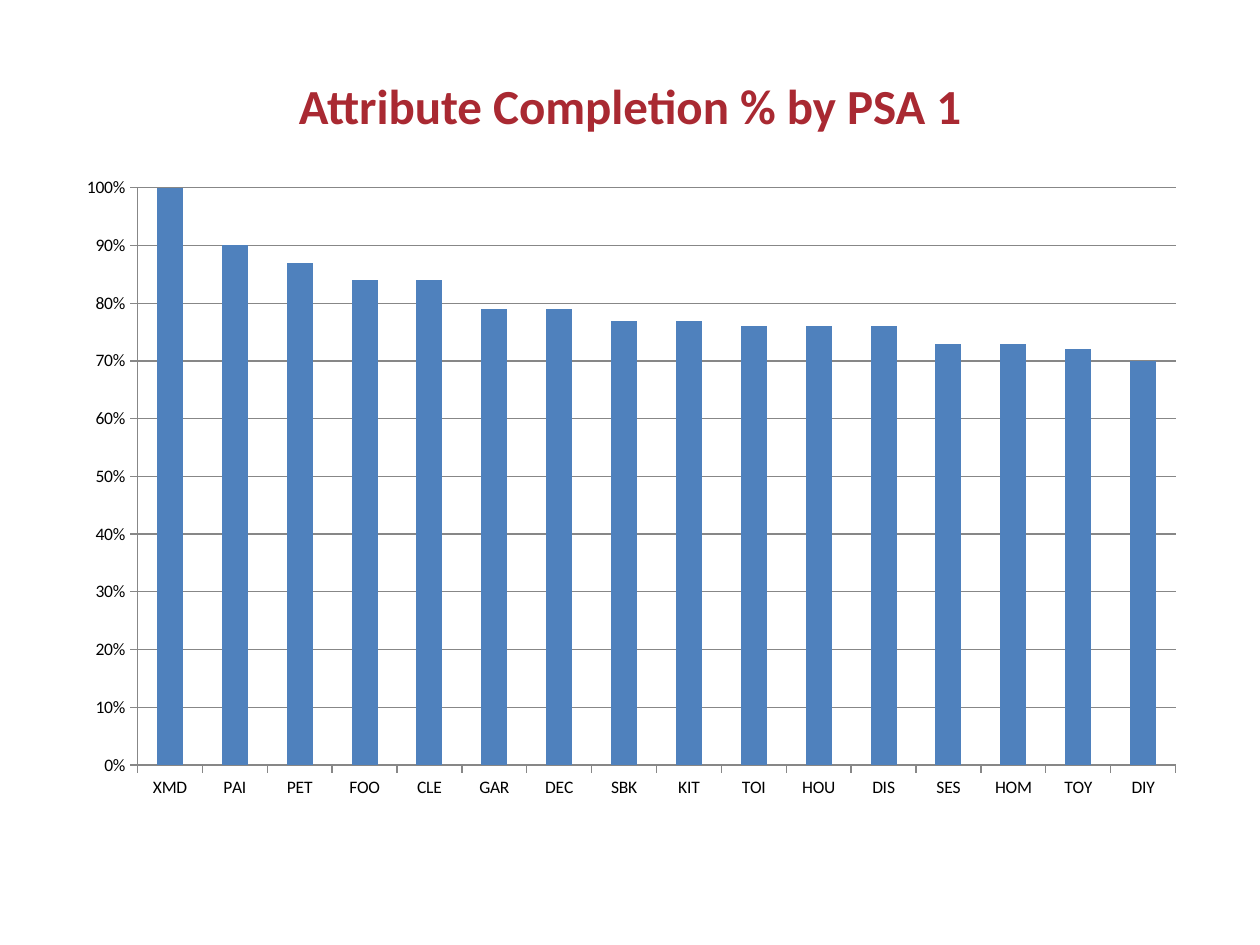
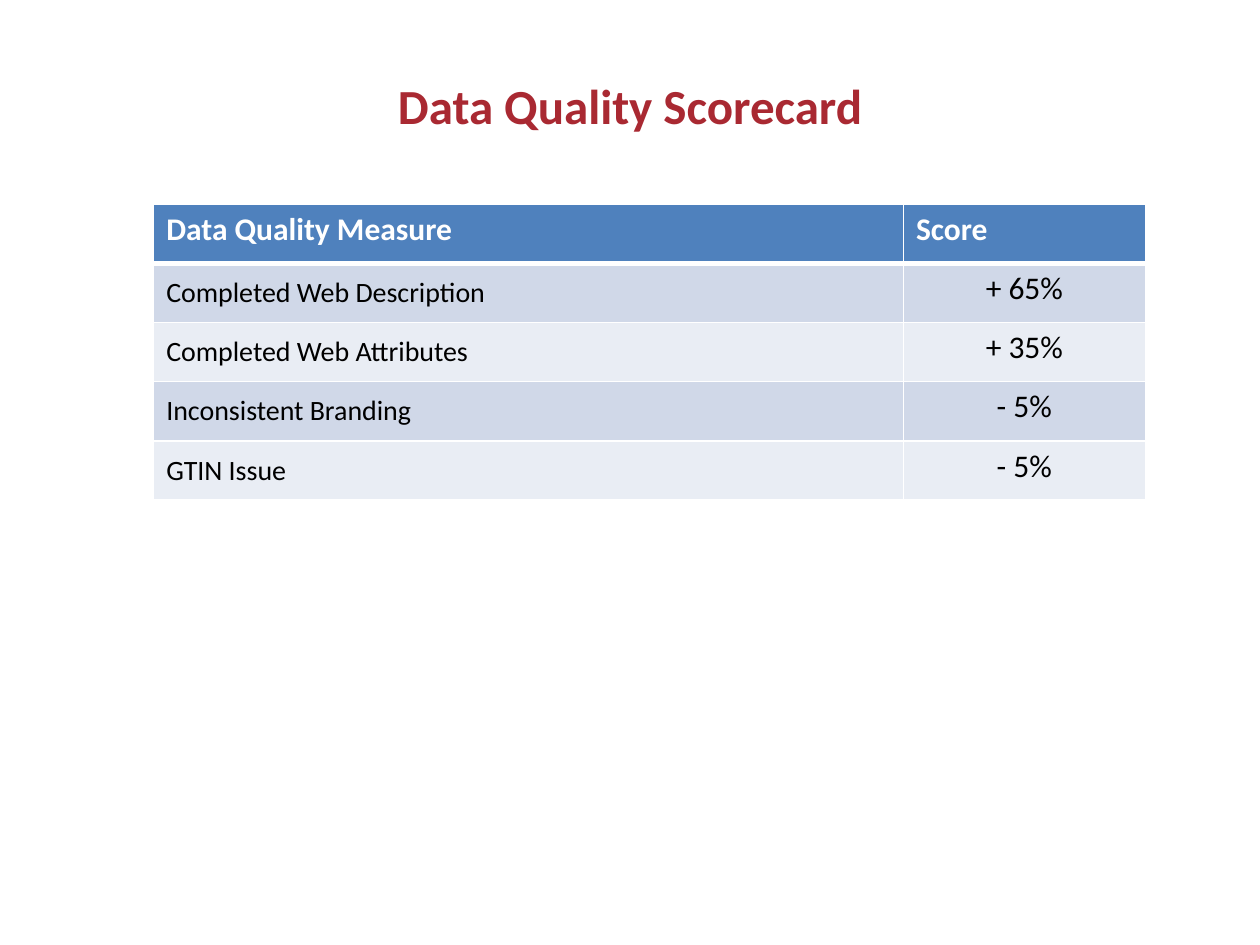
from lxml.etree import SubElement
from pptx import Presentation
from pptx.chart.data import CategoryChartData
from pptx.dml.color import RGBColor
from pptx.enum.chart import XL_CHART_TYPE, XL_TICK_MARK
from pptx.enum.text import MSO_ANCHOR, PP_ALIGN
from pptx.oxml.ns import qn
from pptx.util import Emu, Pt

# Shared look
PX = 9144  # 100 px to the inch
FONT = "Calibri"
RED, BLUE, BLACK, WHITE, GREY = "A92932", "4F81BD", "000000", "FFFFFF", "878787"
BANDS = ["D0D8E8", "E9EDF4"]


def color(hex_string):
    return RGBColor.from_string(hex_string)


def write(frame, text, size, hex_string, bold, align):
    para = frame.paragraphs[0]
    para.alignment = align
    span = para.add_run()
    span.text = text
    span.font.name = FONT
    span.font.size = Pt(size)
    span.font.bold = bold
    span.font.color.rgb = color(hex_string)


deck = Presentation()
deck.slide_width, deck.slide_height = Emu(1000 * PX), Emu(750 * PX)

# Pages with their titles
pages = []
for heading in ["Attribute Completion % by PSA 1", "Data Quality Scorecard"]:
    page = deck.slides.add_slide(deck.slide_layouts[5])
    title = page.shapes.title
    title.left, title.top = Emu(50 * PX), Emu(44 * PX)
    title.width, title.height = Emu(900 * PX), Emu(79 * PX)
    title.text_frame.vertical_anchor = MSO_ANCHOR.MIDDLE
    write(title.text_frame, heading, 28, RED, True, PP_ALIGN.CENTER)
    pages.append(page)
chart_page, table_page = pages

# Completion chart
completion = {
    "XMD": 1, "PAI": 0.9, "PET": 0.87, "FOO": 0.84, "CLE": 0.84, "GAR": 0.79,
    "DEC": 0.79, "SBK": 0.77, "KIT": 0.77, "TOI": 0.76, "HOU": 0.76, "DIS": 0.76,
    "SES": 0.73, "HOM": 0.73, "TOY": 0.72, "DIY": 0.7,
}
data = CategoryChartData(number_format="0%")
data.categories = list(completion)
data.add_series("Series 1", list(completion.values()))
chart = chart_page.shapes.add_chart(
    XL_CHART_TYPE.COLUMN_CLUSTERED,
    Emu(51 * PX), Emu(131 * PX), Emu(900 * PX), Emu(512 * PX), data).chart
chart.has_legend = False
chart.has_title = False
chart.font.name = FONT
chart.font.size = Pt(10)
chart.font.color.rgb = color(BLACK)

plot = chart.plots[0]
plot.gap_width = 150
plot.vary_by_categories = False
bars = plot.series[0].format.fill
bars.solid()
bars.fore_color.rgb = color(BLUE)

values = chart.value_axis
values.minimum_scale, values.maximum_scale, values.major_unit = 0, 1, 0.1
values.has_major_gridlines = True
values.tick_labels.number_format = "0%"
values.tick_labels.number_format_is_linked = False
for axis in (chart.category_axis, values):
    axis.major_tick_mark = XL_TICK_MARK.OUTSIDE
for lines in (chart.category_axis, values, values.major_gridlines):
    lines.format.line.color.rgb = color(GREY)
    lines.format.line.width = Pt(0.75)

# Scorecard table
scores = [
    ("Data Quality Measure", "Score"),
    ("Completed Web Description", "+ 65%"),
    ("Completed Web Attributes", "+ 35%"),
    ("Inconsistent Branding", "- 5%"),
    ("GTIN Issue", "- 5%"),
]
table = table_page.shapes.add_table(
    len(scores), 2, Emu(122 * PX), Emu(162 * PX), Emu(787 * PX), Emu(235 * PX)).table
for column, width in zip(table.columns, (595, 192)):
    column.width = Emu(width * PX)
for row_index, record in enumerate(scores):
    table.rows[row_index].height = Emu(47 * PX)
    header = row_index == 0
    for column_index, text in enumerate(record):
        cell = table.cell(row_index, column_index)
        measure = column_index == 0
        if header:
            write(cell.text_frame, text, 18, WHITE, True, PP_ALIGN.LEFT)
        elif measure:
            cell.vertical_anchor = MSO_ANCHOR.MIDDLE
            write(cell.text_frame, text, 16, BLACK, False, PP_ALIGN.LEFT)
        else:
            write(cell.text_frame, text, 18, BLACK, False, PP_ALIGN.CENTER)

        # White rules, thicker under the header
        properties = cell._tc.get_or_add_tcPr()
        for side in ("L", "R", "T", "B"):
            thick = (row_index, side) in ((0, "B"), (1, "T"))
            border = SubElement(properties, qn("a:ln" + side), w=str(Pt(3 if thick else 1)))
            paint = SubElement(border, qn("a:solidFill"))
            SubElement(paint, qn("a:srgbClr"), val=WHITE)
        cell.fill.solid()
        cell.fill.fore_color.rgb = color(BLUE if header else BANDS[(row_index - 1) % 2])

deck.save("out.pptx")
